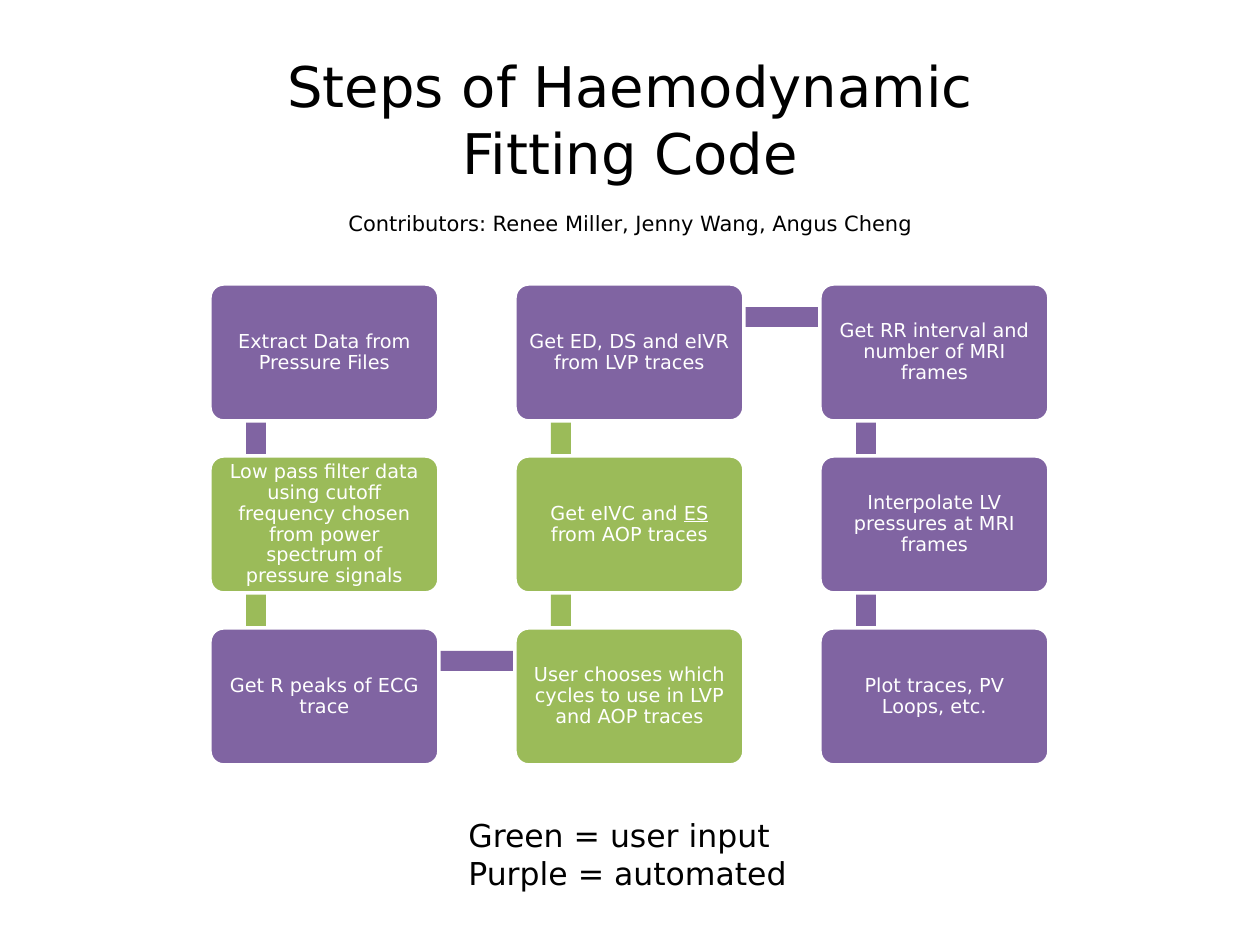
from pptx import Presentation
from pptx.dml.color import RGBColor
from pptx.enum.shapes import MSO_SHAPE
from pptx.enum.text import MSO_ANCHOR, PP_ALIGN
from pptx.util import Emu, Pt

PX = 914400 // 126
RECT, ROUNDED = MSO_SHAPE.RECTANGLE, MSO_SHAPE.ROUNDED_RECTANGLE
LEFT, CENTER, MIDDLE = PP_ALIGN.LEFT, PP_ALIGN.CENTER, MSO_ANCHOR.MIDDLE
COLORS = {"auto": "8064A2", "user": "9BBB59", "white": "FFFFFF", "black": "000000"}

# Grid of step boxes and the bars that join them
GRID_X, GRID_Y, STEP_X, STEP_Y = 210, 284, 305, 172
BOX_W, BOX_H = 229, 137
BAR_X, BAR_Y, BAR_THICK = 46, 23, 20

# Column, row, colour and text of each step, in order; the text is a list of runs
STEPS = [
    (0, 0, "auto", ["Extract Data from Pressure Files"]),
    (0, 1, "user", ["Low pass filter data using cutoff frequency chosen "
                    "from power spectrum of pressure signals"]),
    (0, 2, "auto", ["Get R peaks of ECG trace"]),
    (1, 2, "user", ["User chooses which cycles to use in LVP and AOP traces"]),
    (1, 1, "user", ["Get eIVC and ", ("ES", {"underline": True}), " from AOP traces"]),
    (1, 0, "auto", ["Get ED, DS and eIVR from LVP traces"]),
    (2, 0, "auto", ["Get RR interval and number of MRI frames"]),
    (2, 1, "auto", ["Interpolate LV pressures at MRI frames"]),
    (2, 2, "auto", ["Plot traces, PV Loops, etc."]),
]


def px(n):
    """Turn picture pixels into EMU."""
    return Emu(round(n * PX))


def rgb(name):
    """Look up a named colour."""
    return RGBColor.from_string(COLORS[name])


def write(p, runs, size=11, color="black", align=LEFT, before=0, spacing=None):
    """Fill a paragraph with runs, each a string or a (string, format) pair."""
    p.alignment, p.space_before, p.line_spacing = align, Pt(before), spacing
    for run in runs:
        text, fmt = (run, {}) if isinstance(run, str) else run
        r = p.add_run()
        r.text = text
        r.font.name, r.font.size = Deck.font, Pt(size)
        r.font.color.rgb = rgb(color)
        r.font.underline = fmt.get("underline")


class Deck:
    """Holds the style and the current slide."""

    font = "DejaVu Sans"

    def __init__(self, width, height):
        """Start a deck with one blank slide."""
        self.prs = Presentation()
        self.prs.slide_width, self.prs.slide_height = px(width), px(height)
        self.s = self.prs.slides.add_slide(self.prs.slide_layouts[6])

    def shape(self, kind, x, y, w, h, fill):
        """Add a plain filled shape."""
        sp = self.s.shapes.add_shape(kind, px(x), px(y), px(w), px(h))
        sp.shadow.inherit = False
        sp.fill.solid()
        sp.fill.fore_color.rgb = rgb(fill)
        sp.line.fill.background()
        return sp

    def bar(self, start, end, fill):
        """Join two neighbouring grid cells with a bar."""
        (c1, r1), (c2, r2) = start, end
        x, y = GRID_X + c1 * STEP_X + BAR_X, GRID_Y + min(r1, r2) * STEP_Y
        if r1 == r2:
            self.shape(RECT, x, y + BAR_Y, STEP_X - 1, BAR_THICK, fill)
            return
        length = STEP_Y - 2
        mid_y = y + (BOX_H + STEP_Y - 70) / 2
        sp = self.shape(RECT, x - length / 2, mid_y - BAR_THICK / 2, length, BAR_THICK, fill)
        sp.rotation = 90 if r2 > r1 else 270

    def box(self, col, row, fill, runs):
        """Add a rounded step box with centred text."""
        x, y = GRID_X + col * STEP_X, GRID_Y + row * STEP_Y
        sp = self.shape(ROUNDED, x, y, BOX_W, BOX_H, fill)
        sp.adjustments[0] = 0.1
        sp.line.color.rgb, sp.line.width = rgb("white"), Pt(2)
        tf = sp.text_frame
        tf.word_wrap, tf.vertical_anchor = True, MIDDLE
        tf.margin_left = tf.margin_right = tf.margin_top = tf.margin_bottom = px(8)
        write(tf.paragraphs[0], runs, color="white", align=CENTER, spacing=0.9)

    def text(self, x, y, w, h, lines):
        """Add a text box with one paragraph for each (text, format) line."""
        tf = self.s.shapes.add_textbox(px(x), px(y), px(w), px(h)).text_frame
        tf.word_wrap = True
        for i, (line, fmt) in enumerate(lines):
            p = tf.add_paragraph() if i else tf.paragraphs[0]
            write(p, [line], **fmt)


def main():
    """Build and save the slide."""
    deck = Deck(1260, 945)
    for i, (col, row, fill, runs) in enumerate(STEPS):
        if i + 1 < len(STEPS):
            deck.bar((col, row), STEPS[i + 1][:2], fill)
        deck.box(col, row, fill, runs)
    deck.text(189, 45, 883, 199, [
        ("Steps of Haemodynamic Fitting Code", {"size": 32, "align": CENTER}),
        ("Contributors: Renee Miller, Jenny Wang, Angus Cheng",
         {"size": 12, "align": CENTER, "before": 14}),
    ])
    deck.text(456, 810, 348, 89, [
        ("Green = user input", {"size": 18}),
        ("Purple = automated", {"size": 18}),
    ])
    deck.prs.save("out.pptx")


main()
